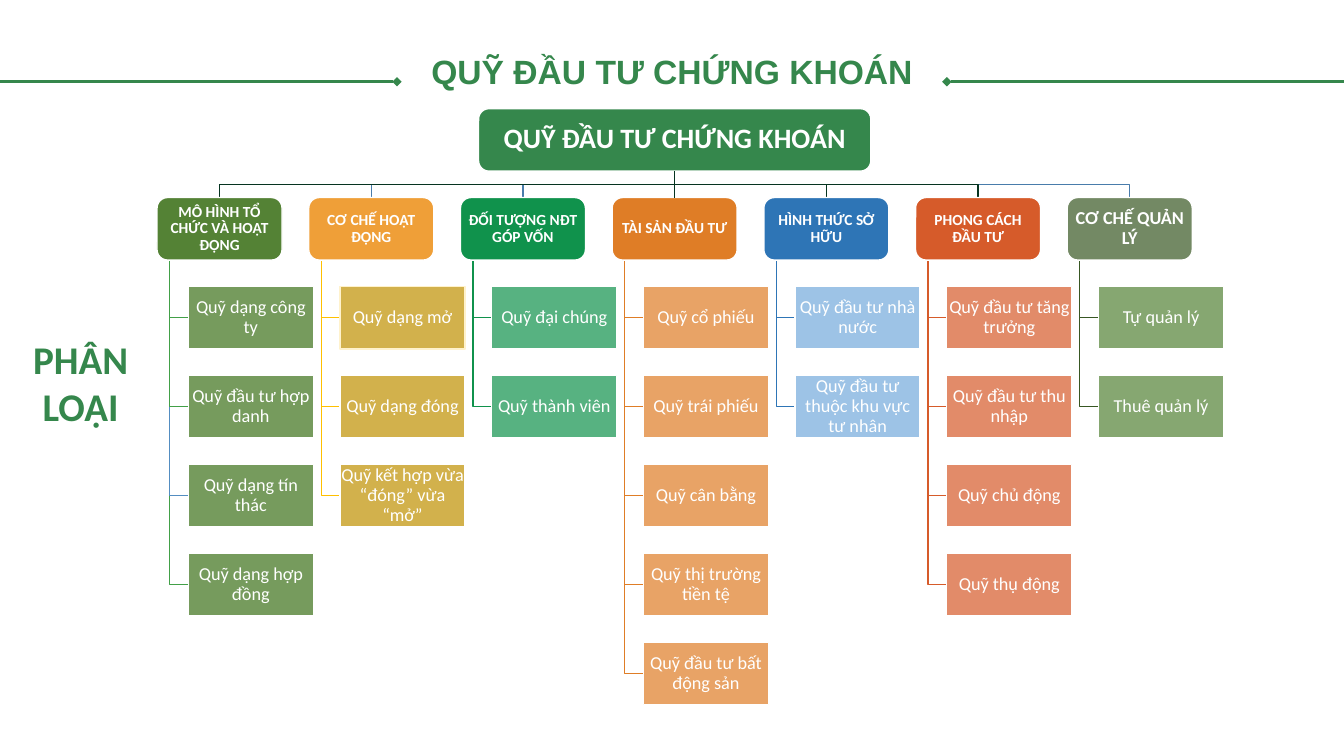
"""Build a one-slide classification tree of securities investment funds."""
from dataclasses import dataclass

from lxml import etree
from pptx import Presentation
from pptx.dml.color import RGBColor
from pptx.enum.shapes import MSO_CONNECTOR, MSO_SHAPE
from pptx.enum.text import MSO_ANCHOR, PP_ALIGN
from pptx.oxml.ns import qn
from pptx.util import Pt

ROUNDED, RECT = MSO_SHAPE.ROUNDED_RECTANGLE, MSO_SHAPE.RECTANGLE
STRAIGHT = MSO_CONNECTOR.STRAIGHT
CENTER, MIDDLE, TOP = PP_ALIGN.CENTER, MSO_ANCHOR.MIDDLE, MSO_ANCHOR.TOP
BOTTOM_SITE, TOP_SITE = 2, 0


@dataclass(frozen=True)
class Theme:
    """Colours, fonts and type sizes of the slide."""
    white: str = "FFFFFF"
    brand: str = "35874C"
    dark: str = "063420"
    steel: str = "497CAB"
    sky: str = "538DC1"
    leaf: str = "548235"
    grass: str = "42A048"
    forest: str = "385723"
    amber: str = "EF9F38"
    gold: str = "FFC000"
    ochre: str = "BF9000"
    cream: str = "FFF2CC"
    emerald: str = "10924C"
    orange: str = "DF7D26"
    blue: str = "2E75B6"
    pale_blue: str = "9DC3E6"
    rust: str = "D65B2A"
    title_font: str = "Arial"
    body_font: str = "Calibri"
    title_size: int = 24
    side_size: int = 28
    root_size: int = 20
    header_size: int = 11
    fund_size: int = 13


@dataclass(frozen=True)
class Category:
    """One column of the tree: a header and its funds."""
    name: str
    funds: tuple
    header_fill: str
    fund_fill: str
    branch: str
    trunk: str
    fund_alpha: int = 70
    header_alpha: int = 100
    header_size: int = 11


THEME = Theme()
HEADING = "QUỸ ĐẦU TƯ CHỨNG KHOÁN"
CARD_W, CARD_H = 89.3, 44.64
COLUMN_LEFT, COLUMN_PITCH = 112.2, 108.36
HEADER_TOP, ROW_PITCH = 141.1, 63.54
FUND_INDENT, BRANCH_INDENT = 22.32, 8.93
ROOT_TOP, ROOT_W = 77.6, 280.2
RULE_Y, RULE_W, SLIDE_W, SLIDE_H = 58.4, 283.6, 960, 540
BORDER_EXCEPTIONS = {"Quỹ dạng mở": THEME.cream}
BRANCH_EXCEPTIONS = {"Quỹ dạng tín thác": THEME.sky}

CATEGORIES = (
    Category("MÔ HÌNH TỔ CHỨC VÀ HOẠT ĐỘNG",
             ("Quỹ dạng công ty", "Quỹ đầu tư hợp danh",
              "Quỹ dạng tín thác", "Quỹ dạng hợp đồng"),
             THEME.leaf, THEME.leaf, THEME.grass, THEME.dark, fund_alpha=80),
    Category("CƠ CHẾ HOẠT ĐỘNG",
             ("Quỹ dạng mở", "Quỹ dạng đóng", "Quỹ kết hợp vừa “đóng” vừa “mở”"),
             THEME.amber, THEME.ochre, THEME.gold, THEME.steel),
    Category("ĐỐI TƯỢNG NĐT GÓP VỐN",
             ("Quỹ đại chúng", "Quỹ thành viên"),
             THEME.emerald, THEME.emerald, THEME.emerald, THEME.steel),
    Category("TÀI SẢN ĐẦU TƯ",
             ("Quỹ cổ phiếu", "Quỹ trái phiếu", "Quỹ cân bằng",
              "Quỹ thị trường tiền tệ", "Quỹ đầu tư bất động sản"),
             THEME.orange, THEME.orange, THEME.orange, THEME.dark),
    Category("HÌNH THỨC SỞ HỮU",
             ("Quỹ đầu tư nhà nước", "Quỹ đầu tư thuộc khu vực tư nhân"),
             THEME.blue, THEME.pale_blue, THEME.blue, THEME.dark, fund_alpha=100),
    Category("PHONG CÁCH ĐẦU TƯ",
             ("Quỹ đầu tư tăng trưởng", "Quỹ đầu tư thu nhập",
              "Quỹ chủ động", "Quỹ thụ động"),
             THEME.rust, THEME.rust, THEME.rust, THEME.dark),
    Category("CƠ CHẾ QUẢN LÝ", ("Tự quản lý", "Thuê quản lý"),
             THEME.forest, THEME.leaf, THEME.forest, THEME.steel,
             header_alpha=70, header_size=13),
)
ROOT_COLUMN = len(CATEGORIES) // 2


def column_left(column):
    """Return the left edge of a column's header."""
    return COLUMN_LEFT + column * COLUMN_PITCH


def column_center(column):
    """Return the middle of a column's header."""
    return column_left(column) + CARD_W / 2


def fund_top(row):
    """Return the top edge of a fund card."""
    return HEADER_TOP + (row + 1) * ROW_PITCH


def style_line(line, color, width):
    """Set the colour and width of a line."""
    line.color.rgb = RGBColor.from_string(color)
    line.width = Pt(width)


def write_text(frame, text, size, color, font=THEME.body_font, bold=True,
               anchor=MIDDLE, spacing=0.9, inset=0.8):
    """Fill a text frame with one centred paragraph."""
    frame.word_wrap = True
    frame.vertical_anchor = anchor
    frame.margin_left = frame.margin_right = Pt(inset)
    frame.margin_top = frame.margin_bottom = Pt(min(inset, 3.6))
    paragraph = frame.paragraphs[0]
    paragraph.text = text
    paragraph.alignment = CENTER
    paragraph.line_spacing = spacing
    paragraph.font.name = font
    paragraph.font.size = Pt(size)
    paragraph.font.bold = bold
    paragraph.font.color.rgb = RGBColor.from_string(color)


def add_card(slide, kind, left, top, width, text, fill, size, bold=True,
             alpha=100, border=THEME.white):
    """Add a filled card with centred white text."""
    card = slide.shapes.add_shape(kind, Pt(left), Pt(top), Pt(width), Pt(CARD_H))
    card.shadow.inherit = False
    card.fill.solid()
    card.fill.fore_color.rgb = RGBColor.from_string(fill)
    if alpha < 100:
        color = card.fill._xPr.find(qn("a:solidFill"))[0]
        etree.SubElement(color, qn("a:alpha"), val=str(alpha * 1000))
    style_line(card.line, border, 1)
    write_text(card.text_frame, text, size, THEME.white, bold=bold)
    return card


def add_label(slide, left, top, width, height, text, size, **options):
    """Add a free-standing green label."""
    label = slide.shapes.add_textbox(Pt(left), Pt(top), Pt(width), Pt(height))
    write_text(label.text_frame, text, size, THEME.brand, anchor=TOP, **options)


def add_elbow(slide, points, color):
    """Add an open right-angled line through the given points."""
    start, *rest = [(Pt(x), Pt(y)) for x, y in points]
    builder = slide.shapes.build_freeform(*start)
    builder.add_line_segments(rest, close=False)
    elbow = builder.convert_to_shape()
    elbow.shadow.inherit = False
    elbow.fill.background()
    style_line(elbow.line, color, 1)


def add_straight(slide, start, end, color, width):
    """Add a straight connector without shadow."""
    line = slide.shapes.add_connector(STRAIGHT, *(Pt(v) for v in (*start, *end)))
    style_line(line.line, color, width)
    etree.SubElement(line._element.spPr, qn("a:effectLst"))
    return line


def add_title_rule(slide, outer_x, inner_x):
    """Add a title rule ending in a diamond at its inner end."""
    rule = add_straight(slide, (outer_x, RULE_Y), (inner_x, RULE_Y), THEME.brand, 2.25)
    etree.SubElement(rule.line._get_or_add_ln(), qn("a:tailEnd"), type="diamond")


def add_branches(slide, column, category):
    """Add the lines from the root to a header and on to its funds."""
    x = column_left(column) + BRANCH_INDENT
    for row, fund in reversed(list(enumerate(category.funds))):
        y = fund_top(row) + CARD_H / 2
        add_elbow(slide, [(x, HEADER_TOP + CARD_H), (x, y),
                          (column_left(column) + FUND_INDENT, y)],
                  BRANCH_EXCEPTIONS.get(fund, category.branch))
    if column != ROOT_COLUMN:
        root_x, header_x = column_center(ROOT_COLUMN), column_center(column)
        root_bottom = ROOT_TOP + CARD_H
        bus_y = (root_bottom + HEADER_TOP) / 2
        add_elbow(slide, [(root_x, root_bottom), (root_x, bus_y),
                          (header_x, bus_y), (header_x, HEADER_TOP)], category.trunk)


def add_category(slide, column, category):
    """Add a header with its fund cards and return the header."""
    left = column_left(column)
    header = add_card(slide, ROUNDED, left, HEADER_TOP, CARD_W, category.name,
                      category.header_fill, category.header_size,
                      alpha=category.header_alpha)
    for row, fund in enumerate(category.funds):
        add_card(slide, RECT, left + FUND_INDENT, fund_top(row), CARD_W, fund,
                 category.fund_fill, THEME.fund_size, bold=False,
                 alpha=category.fund_alpha,
                 border=BORDER_EXCEPTIONS.get(fund, THEME.white))
    return header


def main():
    """Build the slide and save it."""
    deck = Presentation()
    deck.slide_width, deck.slide_height = Pt(SLIDE_W), Pt(SLIDE_H)
    slide = deck.slides.add_slide(deck.slide_layouts[6])
    add_title_rule(slide, SLIDE_W, SLIDE_W - RULE_W)
    add_title_rule(slide, 0, RULE_W)
    for column, category in reversed(list(enumerate(CATEGORIES))):
        add_branches(slide, column, category)
    root_x = column_center(ROOT_COLUMN)
    root = add_card(slide, ROUNDED, root_x - ROOT_W / 2, ROOT_TOP, ROOT_W,
                    HEADING, THEME.brand, THEME.root_size)
    headers = [add_category(slide, *item) for item in enumerate(CATEGORIES)]
    stem = add_straight(slide, (root_x, ROOT_TOP + CARD_H), (root_x, HEADER_TOP),
                        THEME.dark, 1)
    stem.begin_connect(root, BOTTOM_SITE)
    stem.end_connect(headers[ROOT_COLUMN], TOP_SITE)
    add_label(slide, 0, 236.2, 115.2, 74.9, "PHÂN LOẠI", THEME.side_size,
              spacing=1.0, inset=7.2)
    add_label(slide, 0, 39.6, SLIDE_W, 26, HEADING, THEME.title_size,
              font=THEME.title_font, inset=0)
    deck.save("out.pptx")


if __name__ == "__main__":
    main()
